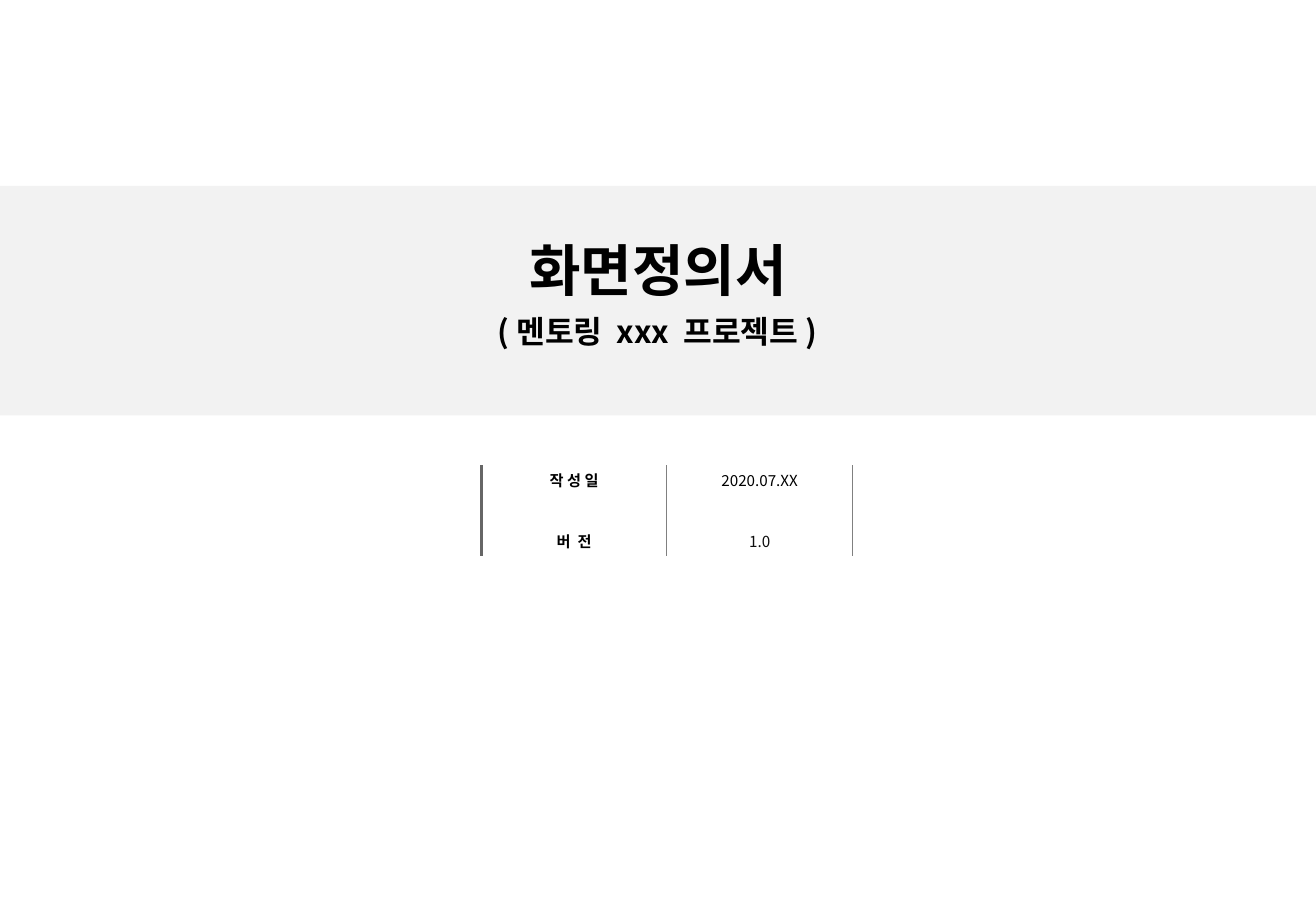
from lxml.etree import SubElement
from pptx import Presentation
from pptx.dml.color import RGBColor
from pptx.enum.shapes import MSO_SHAPE
from pptx.enum.text import MSO_ANCHOR, PP_ALIGN
from pptx.oxml.ns import qn
from pptx.util import Cm, Pt

FONT = "Noto Sans CJK KR"
COLORS = {"band": "F2F2F2", "text": "000000", "version": "0D0D0D",
          "thick": "666666", "thin": "808080"}
WIDTH = 27.51
TEXT_WIDTH = 25.4
ROW_HEIGHT = 0.63
COL_WIDTH = 3.88


def rgb(name):
    return RGBColor.from_string(COLORS[name])


def write(tf, text, size, bold=True, color="text"):
    p = tf.paragraphs[0]
    p.text = text
    p.alignment = PP_ALIGN.CENTER
    p.font.size = Pt(size)
    p.font.bold = bold
    p.font.color.rgb = rgb(color)
    p.font.name = FONT
    SubElement(p.font._element, qn("a:ea"), typeface=FONT)
    if not text:
        p._p.get_or_add_endParaRPr().set("sz", str(size * 100))


def place(sp, left, top, width, height):
    sp.left, sp.top, sp.width, sp.height = map(Cm, (left, top, width, height))


def add_band(s, top, height):
    """Draw the full-width band behind the title placeholder."""
    sp = s.shapes.add_shape(MSO_SHAPE.RECTANGLE, 0, Cm(top), Cm(WIDTH), Cm(height))
    sp.shadow.inherit = False
    sp.fill.solid()
    sp.fill.fore_color.rgb = rgb("band")
    sp.line.fill.background()
    s.shapes._spTree.insert(2, sp._element)


def set_title(s, text):
    sp = s.shapes.title
    place(sp, 1.06, 4.78, TEXT_WIDTH, 1.68)
    sp.text_frame.vertical_anchor = MSO_ANCHOR.MIDDLE
    write(sp.text_frame, text, 33.2)


def add_subtitle(s, text):
    sp = s.shapes.add_textbox(0, 0, 0, 0)
    place(sp, 1.04, 6.4, TEXT_WIDTH, 1.04)
    sp.text_frame.word_wrap = True
    sp.text_frame.vertical_anchor = MSO_ANCHOR.MIDDLE
    write(sp.text_frame, text, 18.5)


def set_borders(cell, left, right):
    """Give a cell side lines as (colour, points), and none above or below."""
    tcPr = cell._tc.get_or_add_tcPr()
    sides = {"a:lnL": left, "a:lnR": right, "a:lnT": None, "a:lnB": None}
    for tag, border in sides.items():
        ln = SubElement(tcPr, qn(tag))
        if border:
            color, width = border
            ln.set("w", str(Pt(width)))
            fill = SubElement(ln, qn("a:solidFill"))
            SubElement(fill, qn("a:srgbClr"), val=COLORS[color])
        else:
            SubElement(ln, qn("a:noFill"))


def add_info_table(s, rows, left, top):
    table = s.shapes.add_table(
        len(rows), 2, Cm(left), Cm(top),
        Cm(2 * COL_WIDTH), Cm(len(rows) * ROW_HEIGHT)).table
    table.first_row = table.horz_banding = False
    for col in table.columns:
        col.width = Cm(COL_WIDTH)
    thick, thin = ("thick", 2.25), ("thin", 0.5)
    for i, (label, value, color) in enumerate(rows):
        table.rows[i].height = Cm(ROW_HEIGHT)
        for j, text in enumerate((label, value)):
            cell = table.cell(i, j)
            cell.margin_top = cell.margin_bottom = Cm(0.08)
            cell.vertical_anchor = MSO_ANCHOR.MIDDLE
            write(cell.text_frame, text, 9, j == 0, "text" if j == 0 else color)
            set_borders(cell, thin if j else thick, thin)
            cell.fill.background()


def main():
    prs = Presentation()
    prs.slide_width, prs.slide_height = Cm(WIDTH), Cm(19.05)
    s = prs.slides.add_slide(prs.slide_layouts[5])
    add_band(s, 3.89, 4.8)
    set_title(s, "화면정의서")
    add_info_table(s, [("작 성 일", "2020.07.XX", "text"),
                       ("", "", "text"),
                       ("버  전", "1.0", "version")], 10.06, 9.73)
    add_subtitle(s, "( 멘토링  xxx  프로젝트 )")
    prs.save("out.pptx")


if __name__ == "__main__":
    main()
